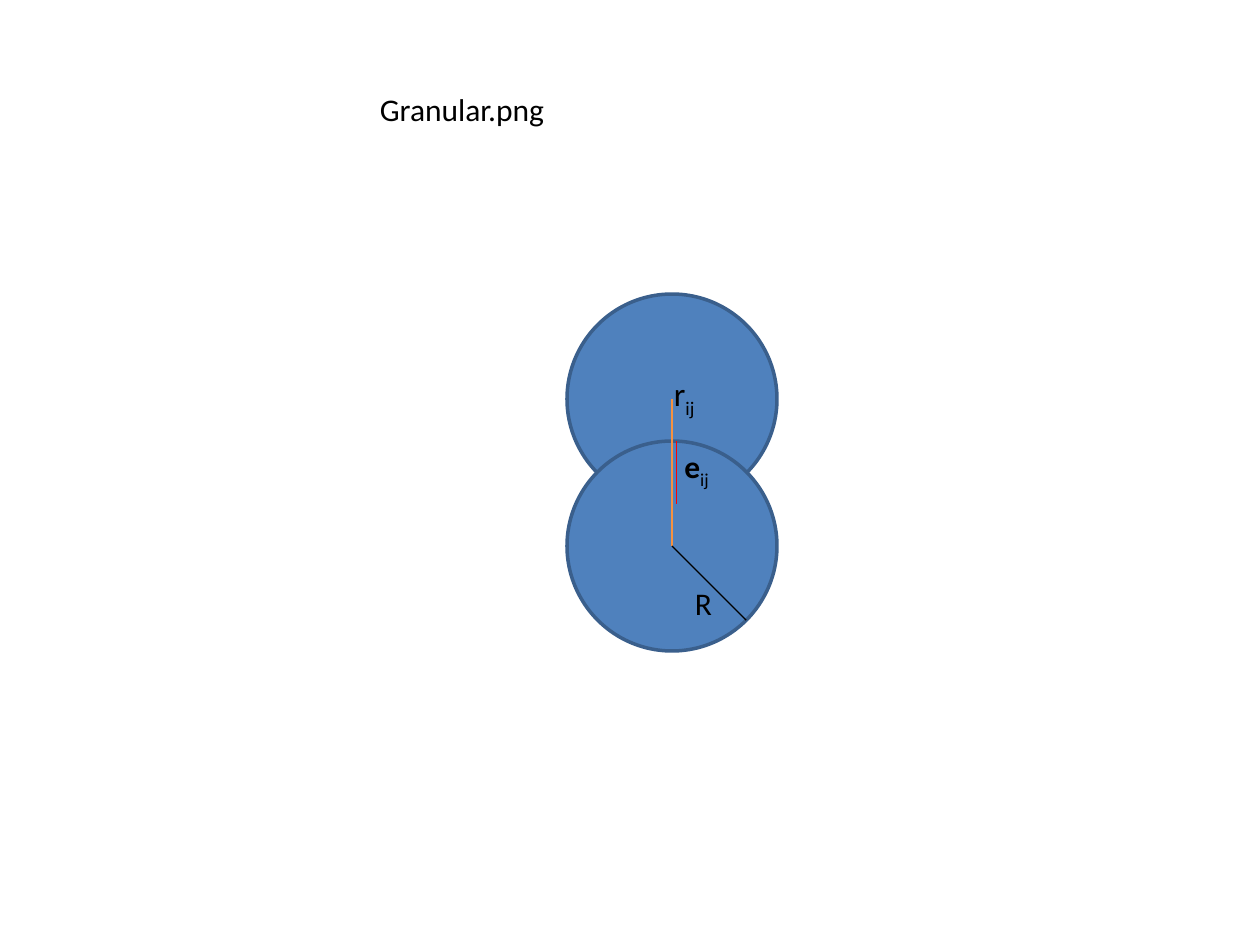
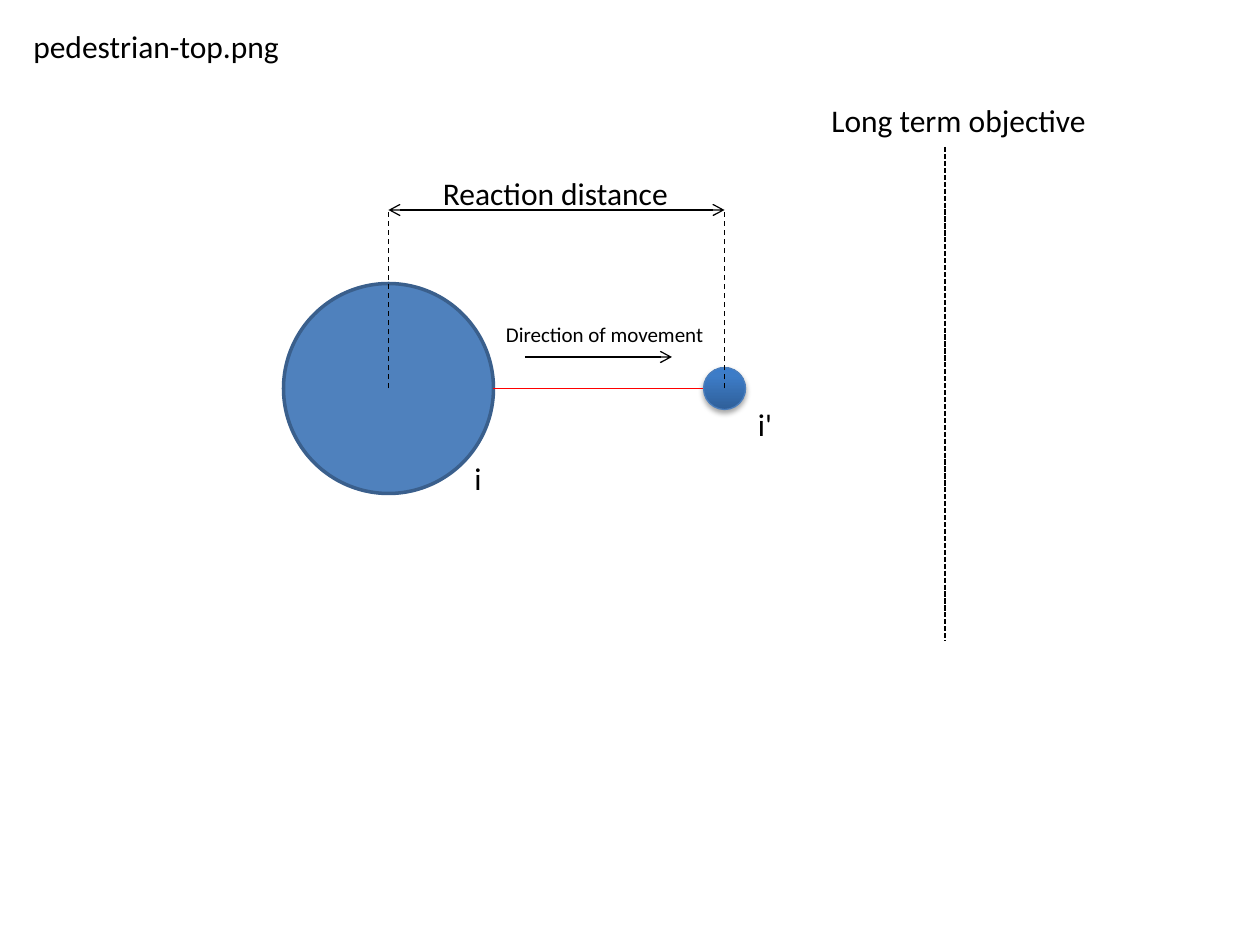
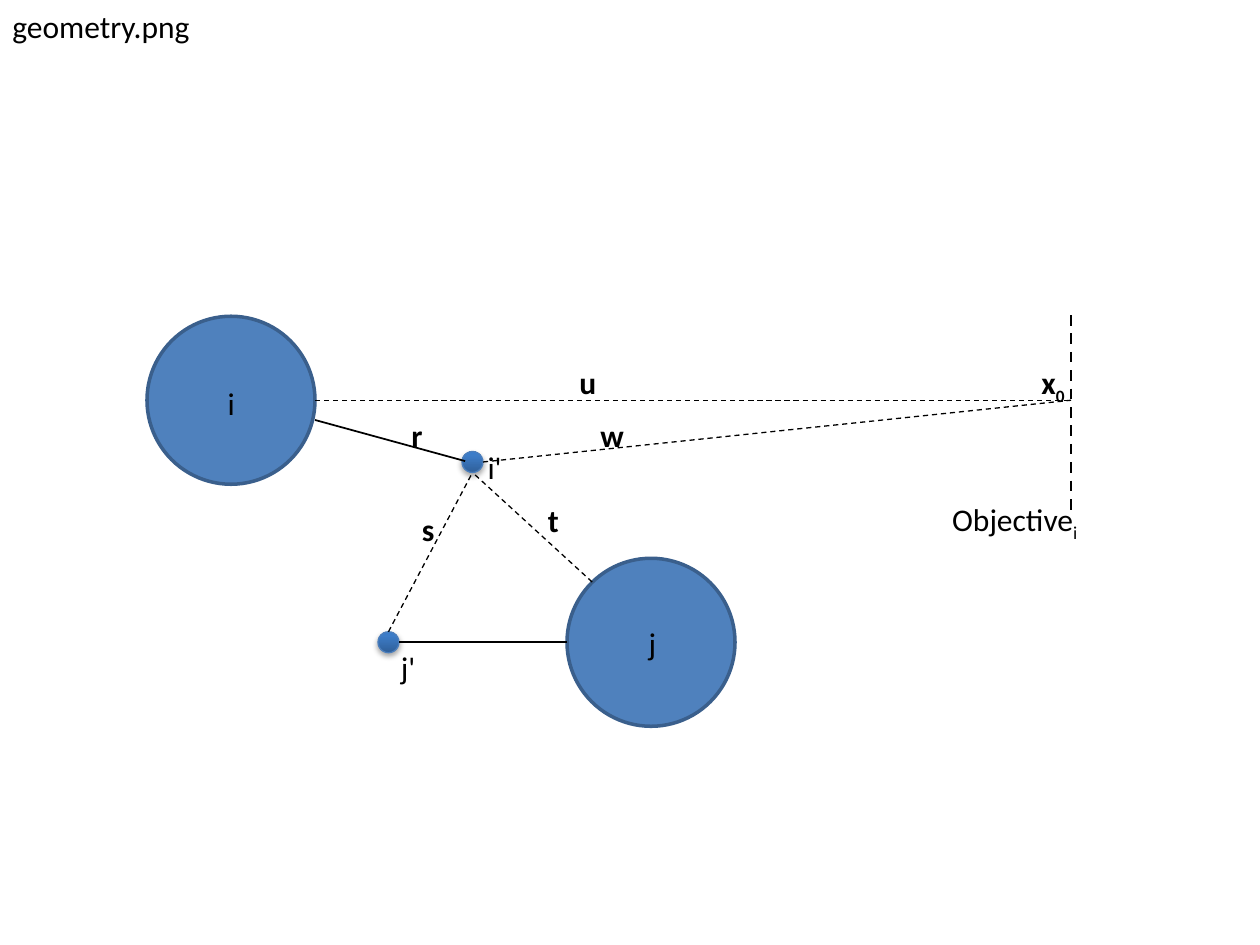
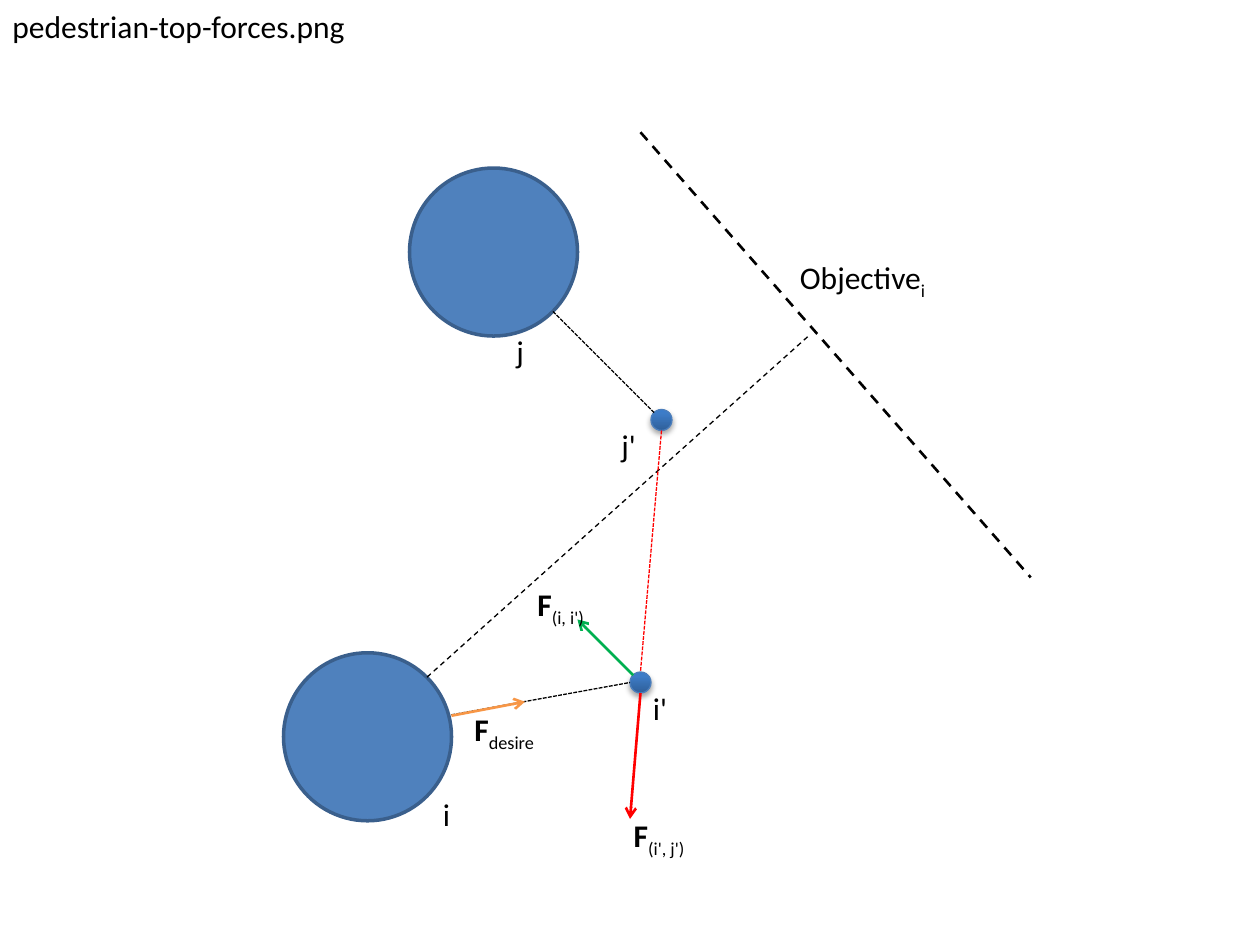
from lxml import etree
from pptx import Presentation
from pptx.dml import color as dml_color
from pptx.enum import dml, shapes, text
from pptx.oxml import ns
from pptx.util import Pt

# Shared style
FONT = "Calibri"
BLACK, RED, GREEN, ORANGE = "000000", "FF0000", "00B050", "F79646"
DISC_FILL, DISC_EDGE, DOT_EDGE = "4F81BD", "3A5F8C", "4B7EBC"
DOT_GRADIENT = [(0, "2F5F99"), (80, "3D7CC7"), (100, "3A7CCB")]
CENTRE_LINE = "F69240"
DASH = dml.MSO_LINE.DASH
SHORT_DASH = dml.MSO_LINE.SQUARE_DOT  # written as sysDot, replaced in line()
LABEL_HEIGHT = 29
PEDESTRIAN_RADIUS, TARGET_RADIUS = 48, 6


def rgb(value):
    return dml_color.RGBColor.from_string(value)


def add_xml(parent, tag, **attributes):
    return etree.SubElement(parent, ns.qn(tag), {k: str(v) for k, v in attributes.items()})


# Kinds of element
def circle(slide, x, y, radius, edge, edge_width):
    shape = slide.shapes.add_shape(shapes.MSO_SHAPE.OVAL, Pt(x - radius), Pt(y - radius),
                                   Pt(2 * radius), Pt(2 * radius))
    shape.shadow.inherit = False
    shape.line.color.rgb = rgb(edge)
    shape.line.width = Pt(edge_width)
    return shape


def disc(slide, x, y, radius=PEDESTRIAN_RADIUS):
    shape = circle(slide, x, y, radius, DISC_EDGE, 2)
    shape.fill.solid()
    shape.fill.fore_color.rgb = rgb(DISC_FILL)


def dot(slide, x, y, radius=TARGET_RADIUS):
    """A small shaded ball with a soft shadow below it."""
    shape = circle(slide, x, y, radius, DOT_EDGE, 0.75)
    shape.fill.gradient()
    shape.fill.gradient_angle = 90
    properties = shape.element.spPr
    stops = properties.find(".//" + ns.qn("a:gsLst"))
    for stop in list(stops):
        stops.remove(stop)
    for percent, value in DOT_GRADIENT:
        stop = add_xml(stops, "a:gs", pos=percent * 1000)
        add_xml(stop, "a:srgbClr", val=value)
    shadow = add_xml(properties.find(ns.qn("a:effectLst")), "a:outerShdw", blurRad=Pt(3.1),
                     dist=Pt(1.8), dir=90 * 60000, rotWithShape=0)
    shade = add_xml(shadow, "a:srgbClr", val=BLACK)
    add_xml(shade, "a:alpha", val=35000)


def line(slide, start, end, color=BLACK, width=0.75, dash=None, head=False, tail=False):
    connector = slide.shapes.add_connector(shapes.MSO_CONNECTOR.STRAIGHT,
                                           *(Pt(value) for value in (*start, *end)))
    connector.line.color.rgb = rgb(color)
    connector.line.width = Pt(width)
    outline = connector.line._get_or_add_ln()
    if dash:
        connector.line.dash_style = dash
        if dash == SHORT_DASH:
            outline.find(ns.qn("a:prstDash")).set("val", "sysDash")
    if head:
        add_xml(outline, "a:headEnd", type="arrow")
    if tail:
        add_xml(outline, "a:tailEnd", type="arrow")
    add_xml(connector.element.spPr, "a:effectLst")


def label(slide, left, top, width, words, subscript="", size=18, bold=False, wrap=False):
    box = slide.shapes.add_textbox(Pt(left), Pt(top), Pt(width), Pt(LABEL_HEIGHT * size / 18))
    frame = box.text_frame
    frame.word_wrap = wrap
    frame.auto_size = text.MSO_AUTO_SIZE.SHAPE_TO_FIT_TEXT
    paragraph = frame.paragraphs[0]
    for part in filter(None, (words, subscript)):
        run = paragraph.add_run()
        run.text = part
        run.font.name = FONT
        run.font.size = Pt(size)
        run.font.color.rgb = rgb(BLACK)
    paragraph.runs[0].font.bold = bold
    if subscript:
        paragraph.runs[1].font._element.set("baseline", "-25000")
    return paragraph


def file_name(slide, words, left=0, top=0.7, width=240):
    label(slide, left, top, width, words, wrap=True)


# Slides
def granular(slide):
    x, upper, lower, radius = 384, 228, 312, 60
    disc(slide, x, upper, radius)
    disc(slide, x, lower, radius)
    line(slide, (x, upper), (x, lower), CENTRE_LINE)
    label(slide, 378, 210, 60, "r", "ij", size=19, wrap=True)
    line(slide, (x, lower), (x + 42.4, lower + 42.4))
    label(slide, 390, 330, 30, "R", wrap=True)
    line(slide, (386.6, lower - radius), (386.6, upper + radius), RED)
    label(slide, 384, 252, 42, "e", "ij", bold=True, wrap=True)
    file_name(slide, "Granular.png", 210, 48, 360)


def reaction_distance(slide):
    body, target, y, radius, top = 222, 414, 222, 60, 120
    dot(slide, target, y, 12)
    disc(slide, body, y, radius)
    file_name(slide, "pedestrian-top.png", 12, 12, 360)
    line(slide, (body + radius, y), (target - 12, y), RED)
    line(slide, (540, 84), (540, 366), width=1, dash=SHORT_DASH)
    label(slide, 264, 259, 18.5, "i")
    label(slide, 426, 228, 23, "i'")
    label(slide, 468, 54, 162, "Long term objective")
    for x in (body, target):
        line(slide, (x, y), (x, top), dash=DASH)
    line(slide, (body, top), (target, top), head=True, tail=True)
    label(slide, 246, 96, 156, "Reaction distance", wrap=True)
    line(slide, (300, 204), (384, 204), tail=True)
    label(slide, 282, 180, 129, "Direction of movement", size=12)


def geometry(slide):
    i_y, j_y, objective = 228.7, 367, 612
    dot(slide, 270, 264)
    disc(slide, 132, i_y)
    file_name(slide, "geometry.png")
    line(slide, (180, 240), (265.8, 263.5), width=1)
    dot(slide, 222, j_y)
    disc(slide, 372, j_y)
    line(slide, (324, j_y), (228, j_y), width=1)

    # Objective and the dashed distances
    line(slide, (objective, 180), (objective, 294), width=1.5, dash=DASH)
    for start, end in [((180, i_y), (objective, i_y)), ((276, 264), (objective, i_y)),
                       ((222, j_y - 6), (270, 270)), ((338.4, 332.6), (270, 270))]:
        line(slide, start, end, dash=DASH)

    # Names of bodies, targets and vectors
    label(slide, 123, 216, 18.5, "i")
    label(slide, 363.6, 353, 18.5, "j")
    label(slide, 222, 367, 23, "j'")
    label(slide, 271.5, 252.7, 23, "i'")
    for left, top, width, name in [(228, 234, 24, "r"), (324, 204, 24.5, "u"),
                                   (336, 234, 28, "w"), (234, 288, 24, "s"),
                                   (306, 283, 24, "t")]:
        label(slide, left, top, width, name, bold=True)
    origin = label(slide, 588, 204, 29, "x", "0", bold=True)
    origin.runs[1].font.bold = True
    origin.runs[1].font.size = Pt(17)
    label(slide, 537, 282, 87, "Objective", "i")


def forces(slide):
    dot(slide, 366, 390)
    disc(slide, 210, 421)
    file_name(slide, "pedestrian-top-forces.png")
    line(slide, (258, 408.5), (360, 390), dash=SHORT_DASH)
    dot(slide, 378, 240)
    disc(slide, 282, 144)
    line(slide, (316, 178), (373.8, 235.8), dash=SHORT_DASH)

    # Objective and distances
    line(slide, (366, 75.6), (589, 330), width=1.5, dash=DASH)
    line(slide, (244, 387), (462, 192), dash=DASH)
    line(slide, (378, 246), (366, 384), RED, dash=SHORT_DASH)

    # Names of bodies and targets
    label(slide, 450, 144, 87, "Objective", "i")
    label(slide, 246, 451, 18.5, "i")
    label(slide, 288, 186, 18.5, "j")
    label(slide, 348, 240, 23, "j'")
    label(slide, 366, 390, 23, "i'")

    # Force arrows
    for start, end, color, left, top, width, name in [
            ((366, 396), (360, 468), RED, 355, 463, 47, "(i', j')"),
            ((361.8, 385.8), (330, 354), GREEN, 300, 331, 44, "(i, i')"),
            ((258, 409), (300, 401), ORANGE, 264, 402, 52.5, "desire")]:
        line(slide, start, end, color, 1.5, tail=True)
        label(slide, left, top, width, "F", name, bold=True)


def main():
    presentation = Presentation()
    presentation.slide_width, presentation.slide_height = Pt(720), Pt(540)
    for draw in (granular, reaction_distance, geometry, forces):
        draw(presentation.slides.add_slide(presentation.slide_layouts[6]))
    presentation.save("out.pptx")


main()
